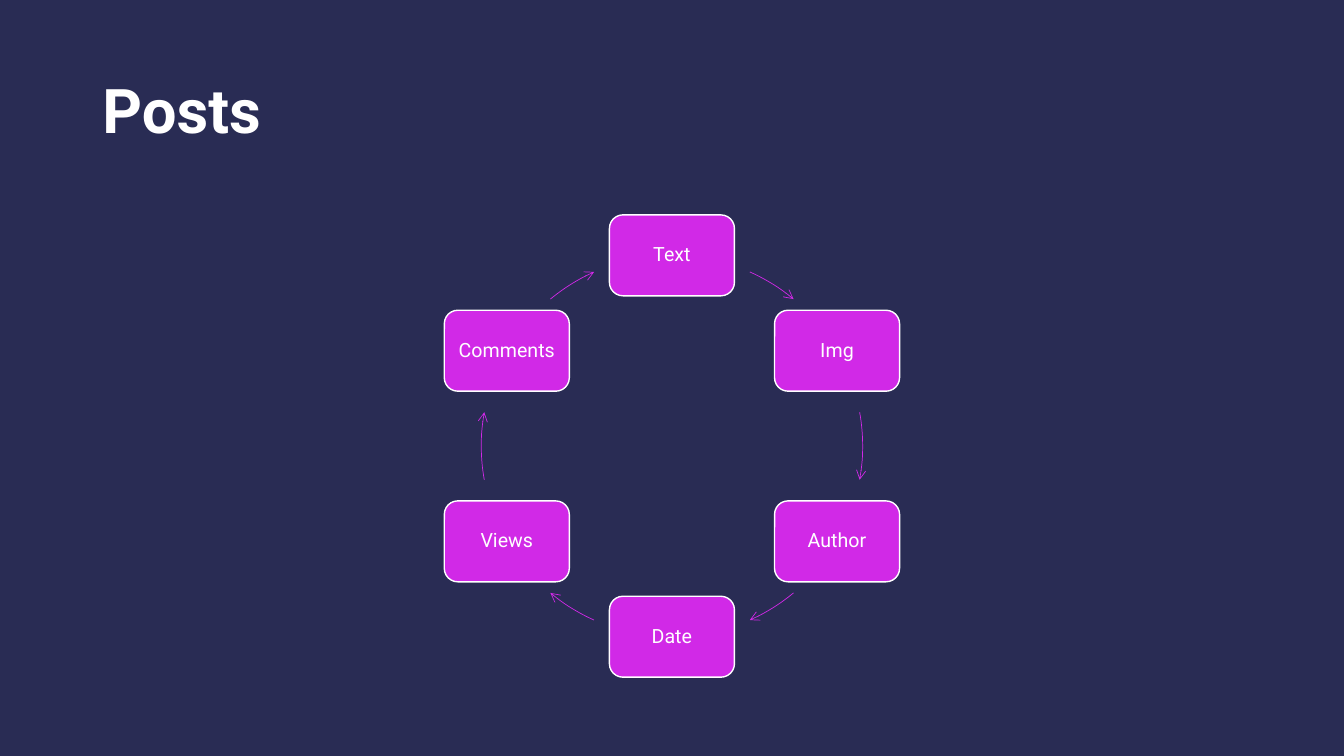
from math import cos, radians, sin

from lxml import etree
from pptx import Presentation
from pptx.dml.color import RGBColor
from pptx.enum import shapes, text
from pptx.oxml.ns import qn
from pptx.util import Pt

TITLE = "Posts"
FIELDS = ["Text", "Img", "Author", "Date", "Views", "Comments"]
NAVY = RGBColor(0x29, 0x2C, 0x54)
MAGENTA = RGBColor(0xD1, 0x29, 0xE7)
WHITE = RGBColor(0xFF, 0xFF, 0xFF)

CENTER_X, CENTER_Y, RADIUS = 480, 318.6, 136.2
BOX_WIDTH, BOX_HEIGHT = 89.3, 57.8
STEP = 360 / len(FIELDS)
SIDE_ARC = (-10.2, 10.2)
SLANTED_ARC = (50.4, 65.9)
ARCS = [
    (-SLANTED_ARC[1], -SLANTED_ARC[0]),
    SIDE_ARC,
    SLANTED_ARC,
]
ARCS += [(start + 180, end + 180) for start, end in ARCS]

TITLE_FONT = {"name": "Roboto", "size": Pt(44), "bold": True}
FIELD_FONT = {"name": "Roboto", "size": Pt(14), "bold": False}
TITLE_PLACE = {"left": Pt(66), "top": Pt(28.8), "width": Pt(828), "height": Pt(104.4)}
FIELD_MARGINS = dict.fromkeys(
    ["margin_left", "margin_top", "margin_right", "margin_bottom"], Pt(4.2)
)


def apply(target, values):
    for name, value in values.items():
        setattr(target, name, value)


def write(frame, words, font, align):
    apply(frame, {"word_wrap": True, "auto_size": text.MSO_AUTO_SIZE.NONE,
                  "vertical_anchor": text.MSO_ANCHOR.MIDDLE})
    para = frame.paragraphs[0]
    apply(para, {"alignment": align, "line_spacing": 0.9})
    span = para.add_run()
    span.text = words
    apply(span.font, font)
    span.font.color.rgb = WHITE


def add_centered(page, kind, x, y, width, height, color, weight):
    shape = page.shapes.add_shape(
        kind, Pt(x - width / 2), Pt(y - height / 2), Pt(width), Pt(height)
    )
    shape.shadow.inherit = False
    shape.line.color.rgb = color
    shape.line.width = Pt(weight)
    return shape


def add_field(page, words, angle):
    x = CENTER_X + RADIUS * cos(radians(angle))
    y = CENTER_Y + RADIUS * sin(radians(angle))
    box = add_centered(page, shapes.MSO_SHAPE.ROUNDED_RECTANGLE,
                       x, y, BOX_WIDTH, BOX_HEIGHT, WHITE, 1)
    box.fill.solid()
    box.fill.fore_color.rgb = MAGENTA
    apply(box.text_frame, FIELD_MARGINS)
    write(box.text_frame, words, FIELD_FONT, text.PP_ALIGN.CENTER)


def add_arrow(page, angles):
    arrow = add_centered(page, shapes.MSO_SHAPE.ARC, CENTER_X, CENTER_Y,
                         2 * RADIUS, 2 * RADIUS, MAGENTA, 0.5)
    arrow.fill.background()
    for index, angle in enumerate(angles):
        arrow.adjustments[index] = angle % 360 * 0.6
    outline = arrow.line._get_or_add_ln()
    etree.SubElement(outline, qn("a:tailEnd"), type="arrow")


deck = Presentation()
apply(deck, {"slide_width": Pt(960), "slide_height": Pt(540)})
page = deck.slides.add_slide(deck.slide_layouts[5])
page.background.fill.solid()
page.background.fill.fore_color.rgb = NAVY

title = page.shapes.title
apply(title, TITLE_PLACE)
write(title.text_frame, TITLE, TITLE_FONT, text.PP_ALIGN.LEFT)

for position, (field, arc) in enumerate(zip(FIELDS, ARCS)):
    add_field(page, field, position * STEP - 90)
    add_arrow(page, arc)

deck.save("out.pptx")
